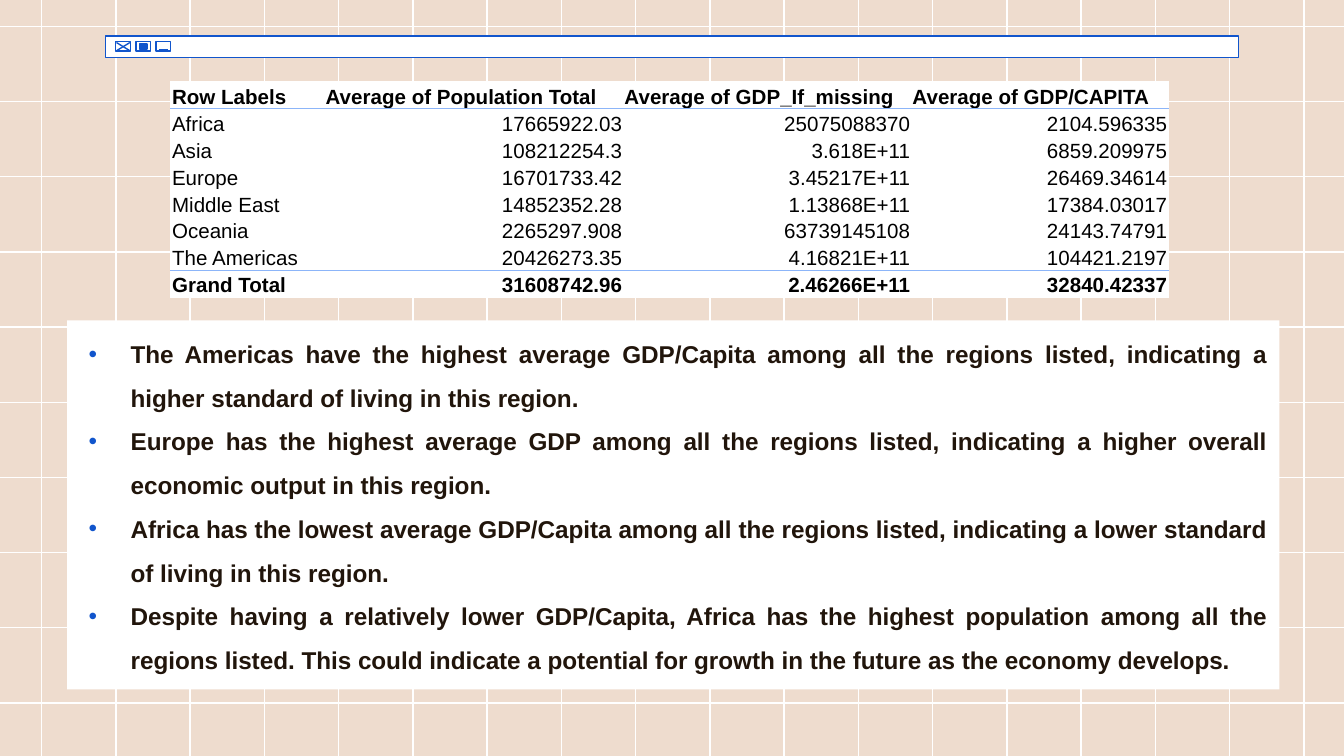
from lxml.etree import SubElement
from pptx import Presentation
from pptx.dml.color import RGBColor
from pptx.enum.shapes import MSO_CONNECTOR, MSO_SHAPE
from pptx.enum.text import MSO_ANCHOR, MSO_AUTO_SIZE, PP_ALIGN
from pptx.oxml import parse_xml
from pptx.oxml.ns import nsdecls, qn
from pptx.util import Pt

COLORS = {"sand": "EEDCCE", "white": "FFFFFF", "blue": "1155CC",
          "rule": "8CB5F9", "black": "000000", "brown": "21150B"}
WIDTH, HEIGHT = 720, 405
COLUMNS = [82.3, 160.1, 154.3, 137.7]
ROWS = [
    ["Row Labels", "Average of Population Total", "Average of GDP_If_missing", "Average of GDP/CAPITA"],
    ["Africa", "17665922.03", "25075088370", "2104.596335"],
    ["Asia", "108212254.3", "3.618E+11", "6859.209975"],
    ["Europe", "16701733.42", "3.45217E+11", "26469.34614"],
    ["Middle East", "14852352.28", "1.13868E+11", "17384.03017"],
    ["Oceania", "2265297.908", "63739145108", "24143.74791"],
    ["The Americas", "20426273.35", "4.16821E+11", "104421.2197"],
    ["Grand Total", "31608742.96", "2.46266E+11", "32840.42337"],
]
FINDINGS = [
    "The Americas have the highest average GDP/Capita among all the regions listed, "
    "indicating a higher standard of living in this region.",
    "Europe has the highest average GDP among all the regions listed, "
    "indicating a higher overall economic output in this region.",
    "Africa has the lowest average GDP/Capita among all the regions listed, "
    "indicating a lower standard of living in this region.",
    "Despite having a relatively lower GDP/Capita, Africa has the highest population among all "
    "the regions listed. This could indicate a potential for growth in the future as the economy develops.",
]
CELL = {"vertical_anchor": MSO_ANCHOR.BOTTOM, "margin_left": Pt(0.6),
        "margin_right": Pt(0.6), "margin_top": Pt(0.6), "margin_bottom": 0}
PANEL = {"word_wrap": True, "auto_size": MSO_AUTO_SIZE.NONE,
         "vertical_anchor": MSO_ANCHOR.MIDDLE, "margin_left": Pt(11.5),
         "margin_top": Pt(11.5), "margin_right": Pt(7.2), "margin_bottom": Pt(17.3)}
FINDING = {"alignment": PP_ALIGN.JUSTIFY, "line_spacing": 1.5,
           "space_before": Pt(0), "space_after": Pt(0)}


def apply(obj, values):
    """Set every attribute in the dict on the object."""
    for name, value in values.items():
        setattr(obj, name, value)


def rgb(color):
    """Return the named colour."""
    return RGBColor.from_string(COLORS[color])


def paint(fill, color):
    """Fill with one solid colour."""
    fill.solid()
    fill.fore_color.rgb = rgb(color)


def add_text(p, text, size, color, bold):
    """Add a formatted run to the paragraph."""
    r = p.add_run()
    r.text = text
    apply(r.font, {"name": "Arial", "size": Pt(size), "bold": bold})
    r.font.color.rgb = rgb(color)


def add_line(s, x1, y1, x2, y2, color):
    """Draw a thin straight line without a shadow."""
    line = s.shapes.add_connector(MSO_CONNECTOR.STRAIGHT, Pt(x1), Pt(y1), Pt(x2), Pt(y2))
    line.line.color.rgb = rgb(color)
    line.line.width = Pt(0.75)
    SubElement(line._element.spPr, qn("a:effectLst"))


def add_box(s, x, y, w, h, fill=None):
    """Draw a blue-edged rectangle, hollow unless a fill is given."""
    sp = s.shapes.add_shape(MSO_SHAPE.RECTANGLE, Pt(x), Pt(y), Pt(w), Pt(h))
    sp.shadow.inherit = False
    sp.line.color.rgb = rgb("blue")
    sp.line.width = Pt(0.75)
    if fill:
        paint(sp.fill, fill)
    else:
        sp.fill.background()


def add_grid(s):
    """Cover the slide with white grid lines."""
    for i in range(18):
        x = 22.3 + 39.78 * i
        add_line(s, x, 0, x, HEIGHT, "white")
    for i in range(10):
        y = 14.2 + 40.26 * i
        add_line(s, WIDTH, y, 0, y, "white")


def add_window_bar(s):
    """Draw the window bar with its three buttons."""
    add_box(s, 56.4, 19.4, 607, 11.4, "white")
    for i in range(3):
        add_box(s, 62 + 10.8 * i, 22.4, 7.8, 5)
    add_line(s, 62.4, 22.8, 69.6, 27.2, "blue")
    add_line(s, 69.6, 22.8, 62.4, 27.2, "blue")
    add_box(s, 74.8, 23.6, 4, 2.6, "blue")
    add_line(s, 85, 26.5, 90, 26.5, "blue")


def add_border(cell, side):
    """Rule one side of the cell, "T" or "B"."""
    border = parse_xml(
        f'<a:ln{side} {nsdecls("a")} w="6350"><a:solidFill>'
        f'<a:srgbClr val="{COLORS["rule"]}"/></a:solidFill></a:ln{side}>')
    cell._tc.get_or_add_tcPr().insert(0, border)


def add_region_table(s):
    """Add the table of regional averages."""
    height = 14.4
    table = s.shapes.add_table(len(ROWS), len(COLUMNS), Pt(91.6), Pt(43.9),
                               Pt(sum(COLUMNS)), Pt(height * len(ROWS))).table
    apply(table, {"first_row": False, "horz_banding": False})
    for column, width in zip(table.columns, COLUMNS):
        column.width = Pt(width)
    last = len(ROWS) - 1
    borders = {0: "B", 1: "T", last - 1: "B", last: "T"}
    for i, row in enumerate(ROWS):
        table.rows[i].height = Pt(height)
        for j, text in enumerate(row):
            cell = table.cell(i, j)
            apply(cell, CELL)
            paint(cell.fill, "white")
            p = cell.text_frame.paragraphs[0]
            p.alignment = PP_ALIGN.RIGHT if i and j else PP_ALIGN.LEFT
            add_text(p, text, 11, "black", i in (0, last))
            if i in borders:
                add_border(cell, borders[i])


def add_bullet(p):
    """Give the paragraph a hanging blue bullet."""
    pPr = p._p.get_or_add_pPr()
    pPr.set("marL", str(Pt(22.5)))
    pPr.set("indent", str(-Pt(22.5)))
    color = SubElement(pPr, qn("a:buClr"))
    SubElement(color, qn("a:srgbClr"), val=COLORS["blue"])
    SubElement(pPr, qn("a:buFont"), typeface="Arial")
    SubElement(pPr, qn("a:buChar"), char="•")


def fill_findings(s, body):
    """Format the body placeholder as the findings panel, above the grid."""
    s.shapes._spTree.append(body._element)
    apply(body, {"left": Pt(36), "top": Pt(171.6), "width": Pt(649.4), "height": Pt(197.8)})
    paint(body.fill, "white")
    tf = body.text_frame
    apply(tf, PANEL)
    for i, text in enumerate(FINDINGS):
        p = tf.add_paragraph() if i else tf.paragraphs[0]
        apply(p, FINDING)
        add_bullet(p)
        add_text(p, text, 13, "brown", True)


def main():
    """Build and save the slide."""
    prs = Presentation()
    apply(prs, {"slide_width": Pt(WIDTH), "slide_height": Pt(HEIGHT)})
    s = prs.slides.add_slide(prs.slide_layouts[1])
    paint(s.background.fill, "sand")
    title = s.shapes.title._element
    title.getparent().remove(title)
    add_grid(s)
    add_window_bar(s)
    add_region_table(s)
    fill_findings(s, s.placeholders[1])
    prs.save("out.pptx")


if __name__ == "__main__":
    main()
